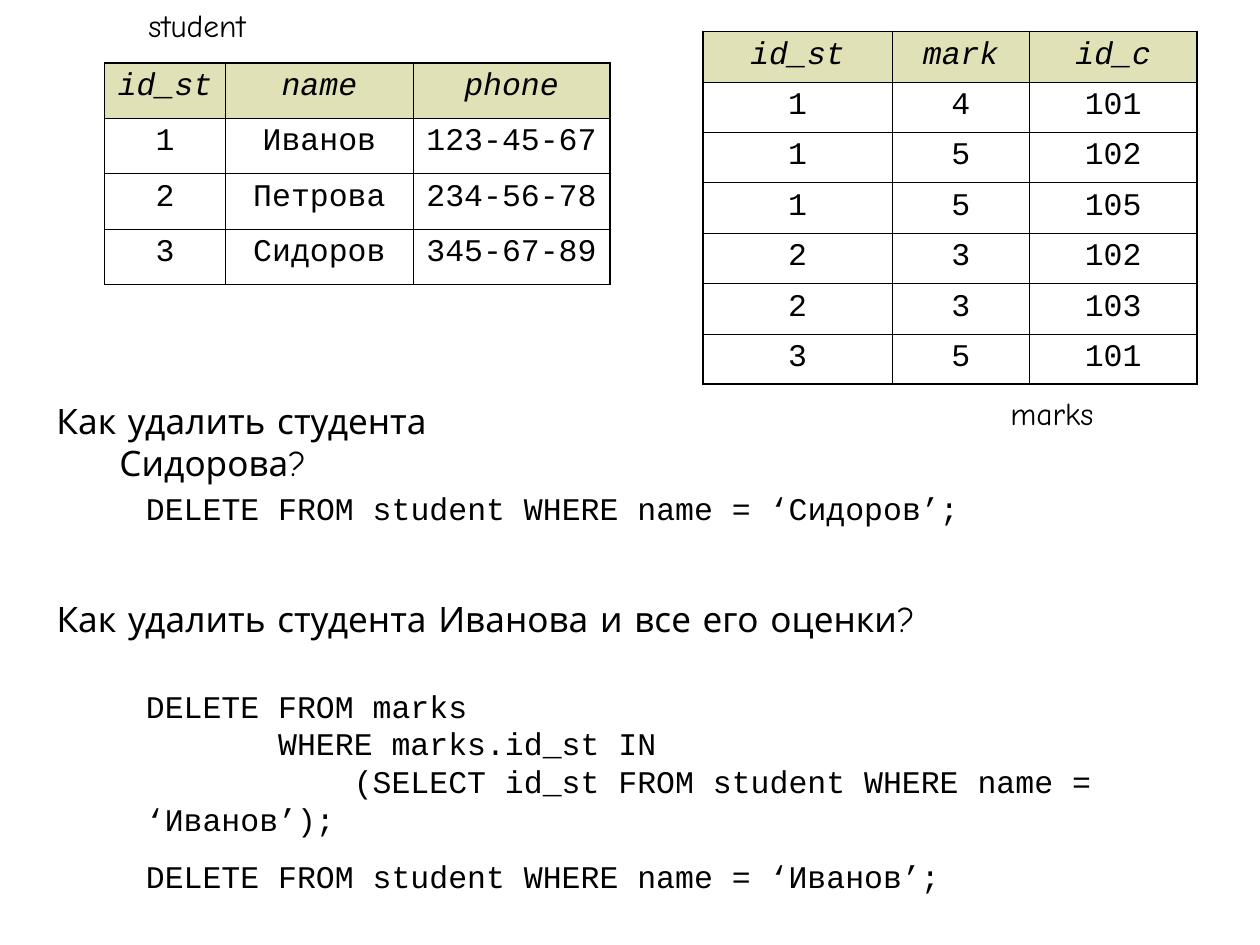
from dataclasses import dataclass
from lxml.etree import SubElement as Sub
from pptx import Presentation
from pptx.dml.color import RGBColor as Rgb
from pptx.enum.text import MSO_AUTO_SIZE as Fit, MSO_ANCHOR as Anchor, PP_ALIGN as Align
from pptx.oxml.ns import qn
from pptx.util import Inches, Pt


@dataclass
class Theme:
    """Colours, fonts, type sizes and line widths of the slide."""
    ink: str = "000000"
    head: str = "E1E1B7"
    hand: str = "Comic Neue"
    code: str = "Courier New"
    ask: int = 20
    body: int = 18
    thin: float = 0.45
    thick: float = 1.08


theme = Theme()
deck = Presentation()
deck.slide_width, deck.slide_height = Inches(10), Inches(7.5)
slide = deck.slides.add_slide(deck.slide_layouts[6])


def write(para, text, face, size, italic=False):
    """Put one run of styled text in a paragraph."""
    run = para.add_run()
    run.text = text
    look = {"name": face, "size": Pt(size), "italic": italic, "bold": False}
    for key, value in look.items():
        setattr(run.font, key, value)
    run.font.color.rgb = Rgb.from_string(theme.ink)


def edge(cell, sides):
    """Draw the borders of a cell from a dict of side and width."""
    props = cell._tc.get_or_add_tcPr()
    for spot, (side, width) in enumerate(sides.items()):
        line = props.makeelement(qn("a:ln" + side), {"w": str(Pt(width))})
        fill = Sub(line, qn("a:solidFill"))
        Sub(fill, qn("a:srgbClr"), val=theme.ink)
        props.insert(spot, line)


# Tables: left, top, column widths, row height, rows
tables = [
    (0.83, 0.5, [0.96, 1.49, 1.56], 0.44, [
        ["id_st", "name", "phone"],
        ["1", "Иванов", "123-45-67"],
        ["2", "Петрова", "234-56-78"],
        ["3", "Сидоров", "345-67-89"]]),
    (5.58, 0.25, [1.5, 1.09, 1.33], 0.4, [
        ["id_st", "mark", "id_c"],
        ["1", "4", "101"],
        ["1", "5", "102"],
        ["1", "5", "105"],
        ["2", "3", "102"],
        ["2", "3", "103"],
        ["3", "5", "101"]]),
]
for left, top, widths, high, rows in tables:
    size = [Inches(n) for n in (left, top, sum(widths), high * len(rows))]
    grid = slide.shapes.add_table(len(rows), len(widths), *size).table
    grid.first_row = grid.horz_banding = False
    for col, width in zip(grid.columns, widths):
        col.width = Inches(width)
    for r, row in enumerate(rows):
        grid.rows[r].height = Inches(high)
        for c, text in enumerate(row):
            cell = grid.cell(r, c)
            cell.margin_left = cell.margin_right = Inches(0.08)
            para = cell.text_frame.paragraphs[0]
            para.alignment = Align.CENTER
            write(para, text, theme.code, theme.body, italic=r == 0)
            if r == 0:
                cell.fill.solid()
                cell.fill.fore_color.rgb = Rgb.from_string(theme.head)
            else:
                cell.fill.background()
            outer = {"L": c == 0, "R": c == len(row) - 1,
                     "T": r == 0, "B": r == len(rows) - 1}
            edge(cell, {side: theme.thick if out else theme.thin
                        for side, out in outer.items()})

# Text boxes: place, font, size, lines of (text, left margin, first indent, space before)
char = 0.15  # width of one code letter
label, ask, code = [(theme.hand, theme.body), (theme.hand, theme.ask),
                    (theme.code, theme.body)]
boxes = [
    ((1.08, 0, 1.75, 0.4), label, [("student", 0, 0, 0)]),
    ((7.92, 3.08, 1.58, 0.4), label, [("marks", 0, 0, 0)]),
    ((0.35, 3.12, 4.67, 0.44), ask,
     [("Как удалить студента Сидорова?", 0.5, -0.5, 0)]),
    ((1.06, 3.83, 8.25, 0.4), code,
     [("DELETE FROM student WHERE name = ‘Сидоров’;", 0, 0, 0)]),
    ((0.35, 4.69, 8.58, 0.44), ask,
     [("Как удалить студента Иванова и все его оценки?", 0.5, -0.5, 0)]),
    ((1.06, 5.4, 8.9, 1.76), code, [
        ("DELETE FROM marks", 0, 0, 0),
        ("WHERE marks.id_st IN", 0, 7 * char, 0),
        ("(SELECT id_st FROM student WHERE name = ‘Иванов’);", 0, 11 * char, 0),
        ("DELETE FROM student WHERE name = ‘Иванов’;", 0, 0, 11.2)]),
]
for place, style, lines in boxes:
    frame = slide.shapes.add_textbox(*[Inches(n) for n in place]).text_frame
    setup = {"word_wrap": True, "auto_size": Fit.SHAPE_TO_FIT_TEXT,
             "vertical_anchor": Anchor.TOP}
    for key, value in setup.items():
        setattr(frame, key, value)
    for n, (text, margin, indent, before) in enumerate(lines):
        para = frame.add_paragraph() if n else frame.paragraphs[0]
        para.space_before = Pt(before)
        props = para._p.get_or_add_pPr()
        props.set("marL", str(Inches(margin)))
        props.set("indent", str(Inches(indent)))
        write(para, text, *style)

deck.save("out.pptx")
